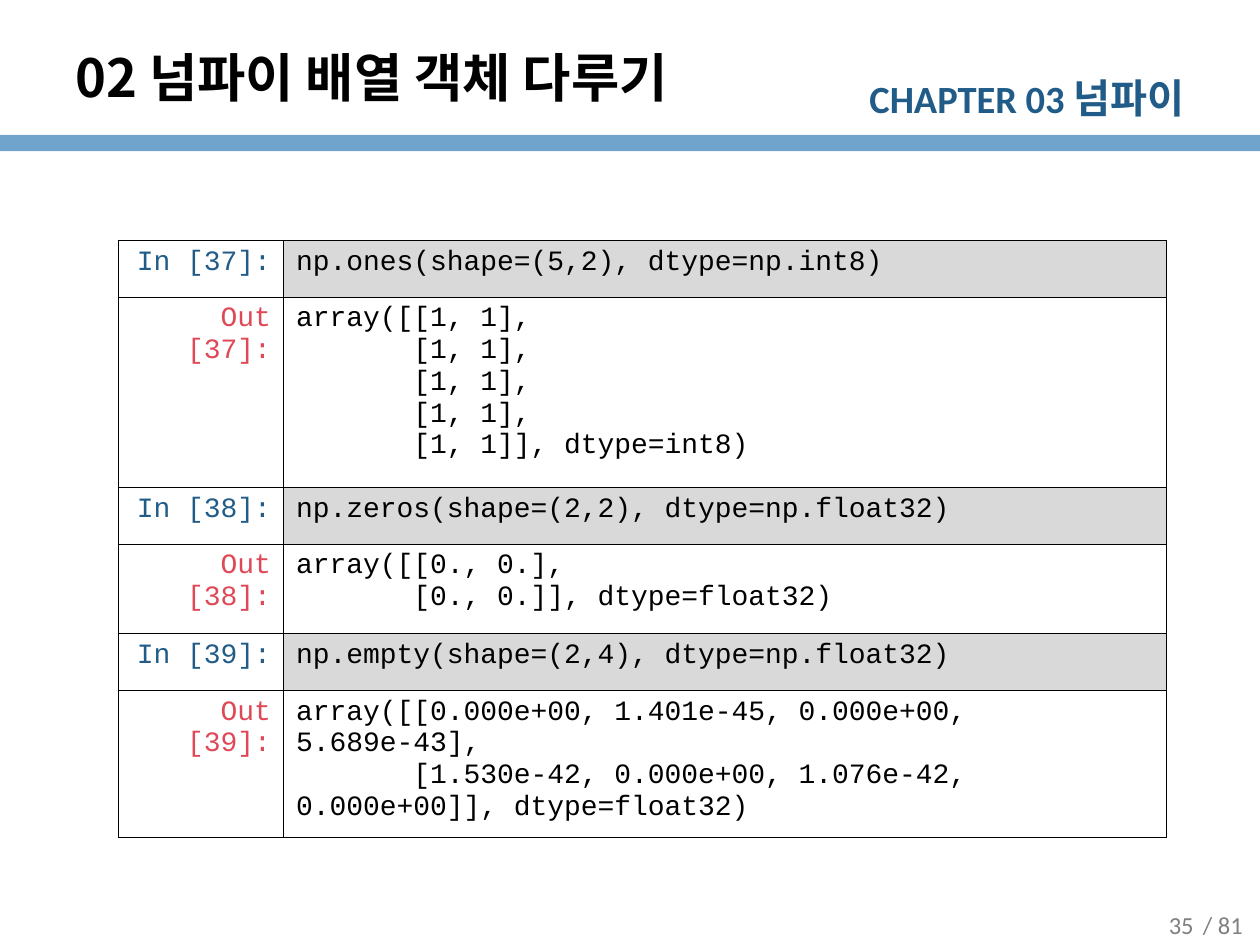
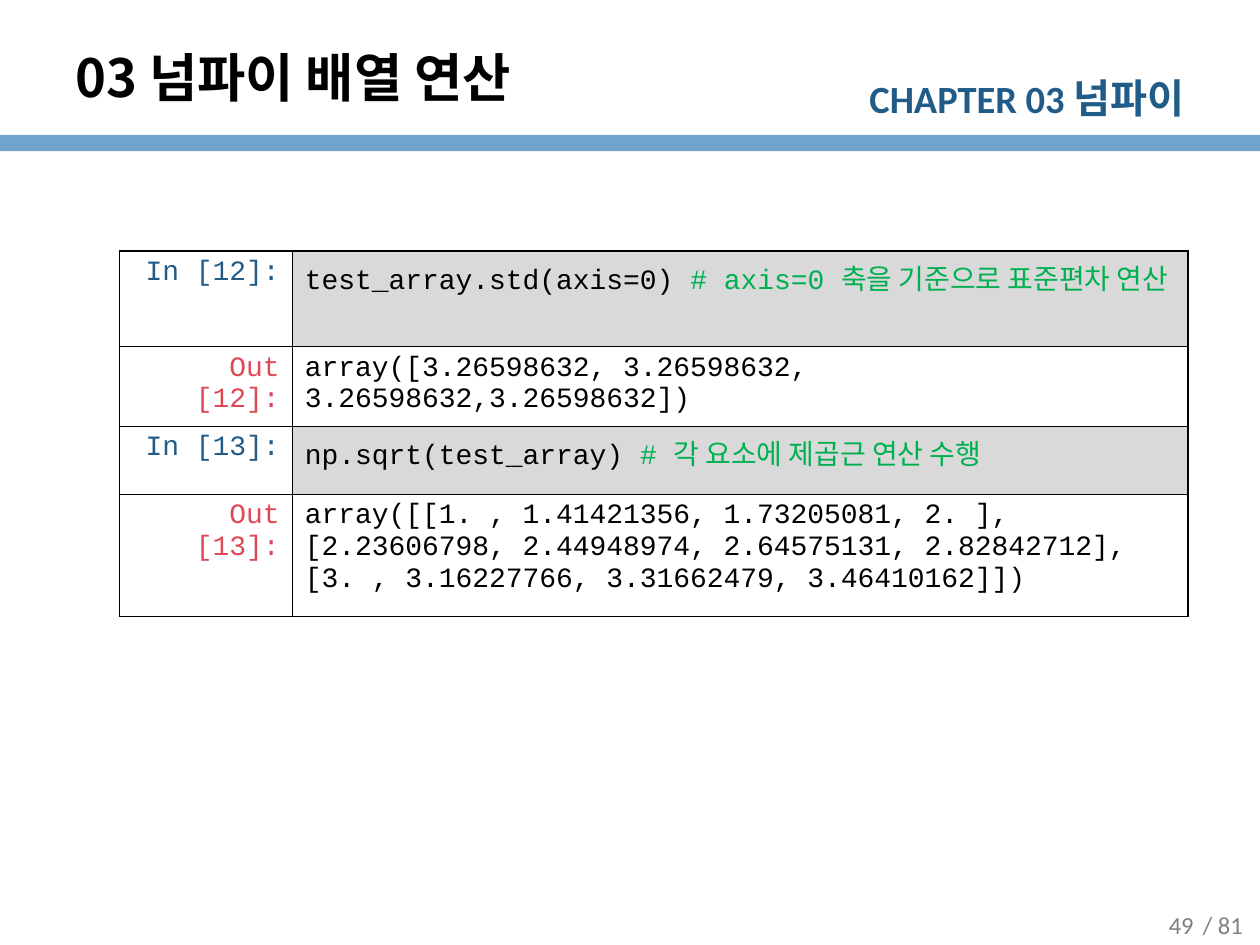
"""Builds two NumPy lecture slides with notebook-style In/Out tables."""
import dataclasses

import pptx
import pptx.dml.color
import pptx.enum.shapes
import pptx.enum.text
import pptx.oxml.ns
import pptx.util
from lxml import etree

Inches, Pt = pptx.util.Inches, pptx.util.Pt
ALIGN = pptx.enum.text.PP_ALIGN
ANCHOR = pptx.enum.text.MSO_ANCHOR
qn = pptx.oxml.ns.qn

CHAPTER = ("CHAPTER 03 ", "넘파이")
TOTAL = "/ 81"
SLIDES = [
    {
        "title": "02 넘파이 배열 객체 다루기",
        "page": "35",
        "at": (0.94, 1.91),
        "cols": (1.31, 7.01),
        "cells": [
            ("In", 37, 0.45, ["np.ones(shape=(5,2), dtype=np.int8)"]),
            ("Out", 37, 1.51, [
                "array([[1, 1],",
                "       [1, 1],",
                "       [1, 1],",
                "       [1, 1],",
                "       [1, 1]], dtype=int8)",
            ]),
            ("In", 38, 0.45, ["np.zeros(shape=(2,2), dtype=np.float32)"]),
            ("Out", 38, 0.71, [
                "array([[0., 0.],",
                "       [0., 0.]], dtype=float32)",
            ]),
            ("In", 39, 0.45, ["np.empty(shape=(2,4), dtype=np.float32)"]),
            ("Out", 39, 0.98, [
                "array([[0.000e+00, 1.401e-45, 0.000e+00, 5.689e-43],",
                "       [1.530e-42, 0.000e+00, 1.076e-42, 0.000e+00]], dtype=float32)",
            ]),
        ],
    },
    {
        "title": "03 넘파이 배열 연산",
        "page": "49",
        "at": (0.95, 1.99),
        "cols": (1.37, 7.11),
        "cells": [
            ("In", 12, 0.76, ["test_array.std(axis=0) # axis=0 축을 기준으로 표준편차 연산"]),
            ("Out", 12, 0.6, ["array([3.26598632, 3.26598632, 3.26598632,3.26598632])"]),
            ("In", 13, 0.54, ["np.sqrt(test_array) # 각 요소에 제곱근 연산 수행"]),
            ("Out", 13, 0.97, [
                "array([[1. , 1.41421356, 1.73205081, 2. ],",
                "[2.23606798, 2.44948974, 2.64575131, 2.82842712],",
                "[3. , 3.16227766, 3.31662479, 3.46410162]])",
            ]),
        ],
    },
]


@dataclasses.dataclass(frozen=True)
class Theme:
    black: str = "000000"
    band: str = "71A4CC"
    blue: str = "215C88"
    red: str = "DF4857"
    green: str = "00B050"
    grey: str = "808080"
    code_fill: str = "D9D9D9"
    body: str = "Calibri"
    mono: str = "Courier New"
    korean: str = "Noto Sans CJK KR"
    title_size: int = 30
    chapter_size: int = 22
    chapter_name_size: int = 23
    page_size: int = 14
    code_size: int = 16


T = Theme()


def rgb(value):
    return pptx.dml.color.RGBColor.from_string(value)


def style(font, name, size, color, bold=False):
    font.name, font.size, font.bold = name, Pt(size), bold
    font.color.rgb = rgb(color)
    latin = font._rPr.find(qn("a:latin"))
    latin.addnext(latin.makeelement(qn("a:ea"), {"typeface": T.korean}))


def add_run(p, text):
    r = p.add_run()
    r.text = text
    return r


def add_box(s, x, y, w, h, align=ALIGN.LEFT, anchor=ANCHOR.MIDDLE):
    tf = s.shapes.add_textbox(Inches(x), Inches(y), Inches(w), Inches(h)).text_frame
    tf.word_wrap = True
    tf.vertical_anchor = anchor
    p = tf.paragraphs[0]
    p.alignment = align
    return p


def add_frame(s, title, page):
    sp = s.shapes.add_shape(pptx.enum.shapes.MSO_SHAPE.RECTANGLE,
                            0, Inches(1.07), Inches(10), Inches(0.13))
    sp.shadow.inherit = False
    sp.fill.solid()
    sp.fill.fore_color.rgb = rgb(T.band)
    sp.line.fill.background()

    p = add_box(s, 6.62, 0.53, 2.88, 0.48, ALIGN.RIGHT, ANCHOR.TOP)
    for text, size in zip(CHAPTER, (T.chapter_size, T.chapter_name_size)):
        style(add_run(p, text).font, T.body, size, T.blue, True)

    for text, x in ((TOTAL, 9.35), (page, 9.02)):
        p = add_box(s, x, 7.14, 0.71, 0.39, ALIGN.CENTER)
        add_run(p, text)
        style(p.font, T.body, T.page_size, T.grey)

    p = add_box(s, 0.5, 0.3, 7.83, 0.62)
    add_run(p, title)
    style(p.font, T.korean, T.title_size, T.black, True)


def set_borders(cell):
    tcPr = cell._tc.get_or_add_tcPr()
    for side in ("lnL", "lnR", "lnT", "lnB"):
        ln = etree.SubElement(tcPr, qn(f"a:{side}"), w=str(Pt(1)))
        fill = etree.SubElement(ln, qn("a:solidFill"))
        etree.SubElement(fill, qn("a:srgbClr"), val=T.black)


def write_code(p, line):
    code, mark, comment = line.partition("#")
    add_run(p, code)
    if mark:
        r = add_run(p, mark + comment)
        style(p.runs[0].font, T.mono, T.code_size, T.black)
        style(r.font, T.mono, T.code_size, T.green)
    else:
        style(p.font, T.mono, T.code_size, T.black)


def add_notebook(s, at, cols, cells):
    x, y = at
    height = sum(h for _, _, h, _ in cells)
    table = s.shapes.add_table(len(cells), 2, Inches(x), Inches(y),
                               Inches(sum(cols)), Inches(height)).table
    table.first_row = table.horz_banding = False
    for column, width in zip(table.columns, cols):
        column.width = Inches(width)
    for row, (kind, number, h, lines) in zip(table.rows, cells):
        row.height = Inches(h)
        label, code = row.cells
        for cell in (label, code):
            set_borders(cell)
            cell.fill.background()
        if kind == "In":
            code.fill.solid()
            code.fill.fore_color.rgb = rgb(T.code_fill)

        p = label.text_frame.paragraphs[0]
        p.alignment = ALIGN.RIGHT
        add_run(p, f"{kind} [{number}]:")
        style(p.font, T.mono, T.code_size, T.blue if kind == "In" else T.red)

        tf = code.text_frame
        for i, line in enumerate(lines):
            write_code(tf.add_paragraph() if i else tf.paragraphs[0], line)


def main():
    prs = pptx.Presentation()
    prs.slide_width, prs.slide_height = Inches(10), Inches(7.5)
    for page in SLIDES:
        s = prs.slides.add_slide(prs.slide_layouts[6])
        add_frame(s, page["title"], page["page"])
        add_notebook(s, page["at"], page["cols"], page["cells"])
    prs.save("out.pptx")


if __name__ == "__main__":
    main()
